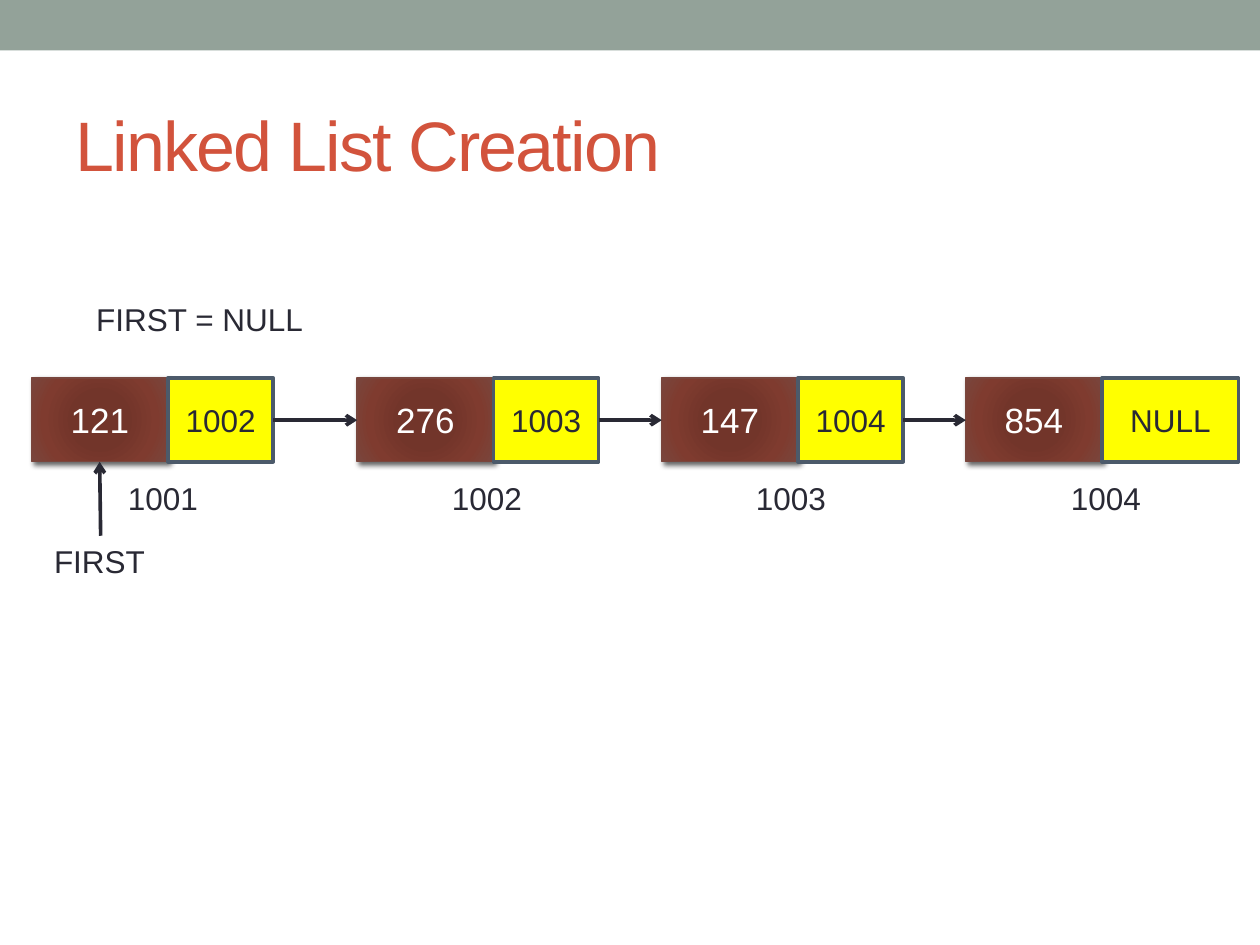
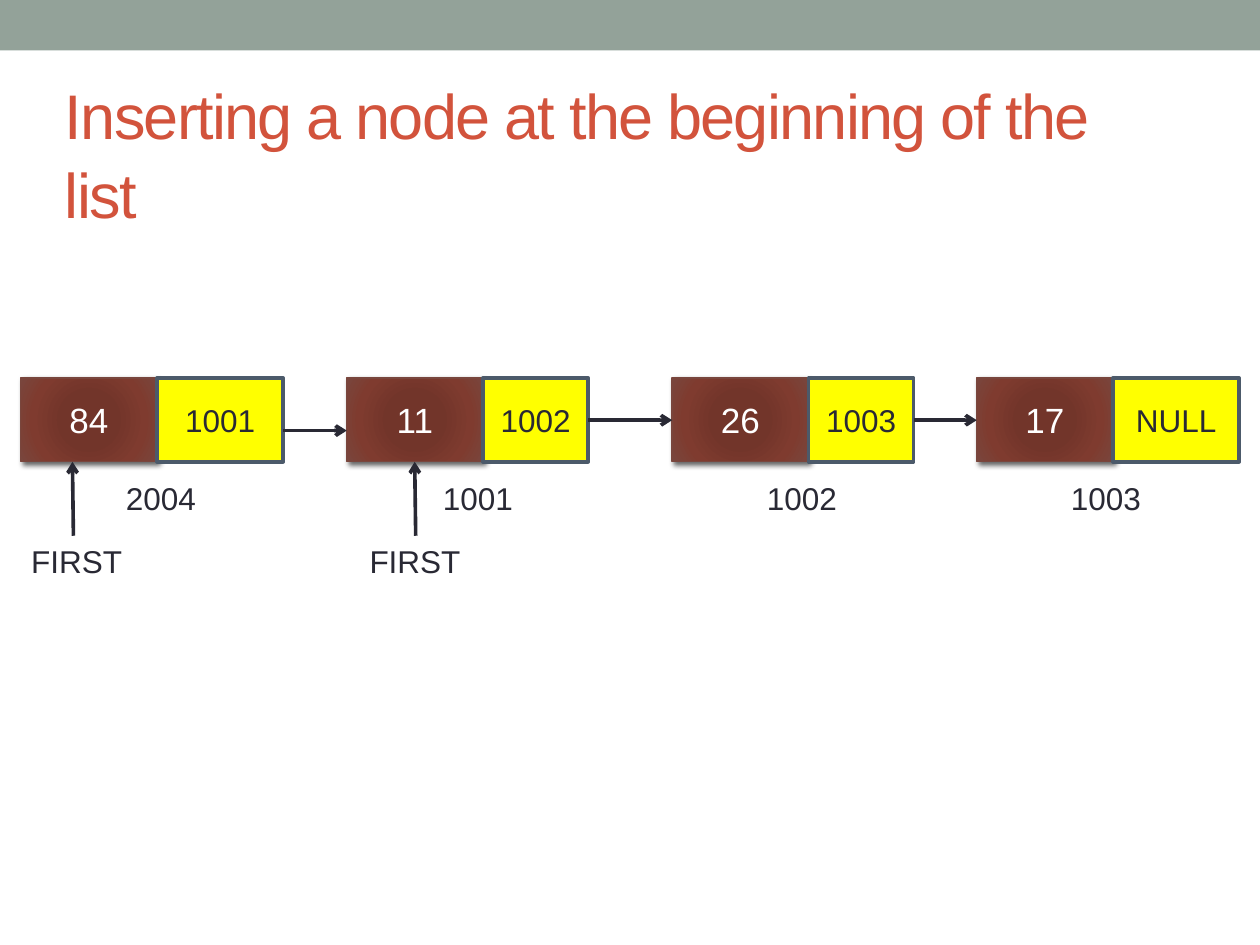
from pptx import Presentation
from pptx.dml.color import RGBColor
from pptx.enum.shapes import MSO_CONNECTOR, MSO_SHAPE
from pptx.enum.text import MSO_ANCHOR, MSO_AUTO_SIZE, PP_ALIGN
from pptx.oxml import parse_xml
from pptx.oxml.ns import nsdecls, qn
from pptx.util import Cm, Pt

RECTANGLE = MSO_SHAPE.RECTANGLE
STRAIGHT = MSO_CONNECTOR.STRAIGHT
MIDDLE = MSO_ANCHOR.MIDDLE
FIT_SHAPE = MSO_AUTO_SIZE.SHAPE_TO_FIT_TEXT
NO_FIT = MSO_AUTO_SIZE.NONE
LEFT, CENTER = PP_ALIGN.LEFT, PP_ALIGN.CENTER

BAND = RGBColor(0x93, 0xA2, 0x99)
TITLE = RGBColor(0xD2, 0x53, 0x3C)
INK = RGBColor(0x29, 0x29, 0x34)
WHITE = RGBColor(0xFF, 0xFF, 0xFF)
YELLOW = RGBColor(0xFF, 0xFF, 0x00)
SLATE = RGBColor(0x4C, 0x5A, 0x6A)
BROWN_EDGE = RGBColor(0x79, 0x46, 0x3D)
BROWN_STOPS = (
    (0, RGBColor(0x74, 0x33, 0x27)),
    (34, RGBColor(0x72, 0x35, 0x2A)),
    (70, RGBColor(0x7F, 0x3B, 0x2F)),
    (100, BROWN_EDGE),
)

FONT = "Arial"
SLIDE_WIDTH, SLIDE_HEIGHT = 25.4, 19.05
NODE_TOP, NODE_HEIGHT, DATA_WIDTH = 7.62, 1.69, 2.75
NODE_BOTTOM = NODE_TOP + NODE_HEIGHT
ADDRESS_TOP, FIRST_TOP = 9.53, 10.8
LINK_Y = 8.47

CREATED_LIST = (
    (0.64, "121", "1002", 2.12, "1001", 2.33),
    (7.2, "276", "1003", 2.12, "1002", 8.86),
    (13.34, "147", "1004", 2.12, "1003", 14.99),
    (19.47, "854", "NULL", 2.75, "1004", 21.34),
)
EXTENDED_LIST = (
    (0.42, "84", "1001", 2.54, "2004", 2.29),
    (6.99, "11", "1002", 2.12, "1001", 8.68),
    (13.55, "26", "1003", 2.12, "1002", 15.21),
    (19.69, "17", "NULL", 2.54, "1003", 21.34),
)


class ListDeck:
    """Draws linked-list diagrams in one shared slide style."""

    def __init__(self):
        self.presentation = Presentation()
        self.presentation.slide_width = Cm(SLIDE_WIDTH)
        self.presentation.slide_height = Cm(SLIDE_HEIGHT)
        self.slide = None

    def set_text(self, frame, text, size, color, align=LEFT):
        paragraph = frame.paragraphs[0]
        paragraph.text = text
        paragraph.alignment = align
        font = paragraph.font
        font.name, font.size, font.color.rgb = FONT, Pt(size), color
        return paragraph

    def new_slide(self, title, left, top, size):
        self.slide = self.presentation.slides.add_slide(
            self.presentation.slide_layouts[6])
        band = self.box(0, 0, SLIDE_WIDTH, 1.02)
        band.fill.solid()
        band.fill.fore_color.rgb = BAND
        band.line.fill.background()
        frame = self.slide.shapes.add_textbox(
            Cm(left), Cm(top), Cm(22.86), Cm(2.75)).text_frame
        frame.word_wrap = True
        frame.auto_size = NO_FIT
        frame.vertical_anchor = MIDDLE
        heading = self.set_text(frame, title, size, TITLE)
        heading.line_spacing = 1.05
        heading._p.pPr.find(qn("a:defRPr")).set("spc", "-100")

    def box(self, left, top, width, height):
        shape = self.slide.shapes.add_shape(
            RECTANGLE, Cm(left), Cm(top), Cm(width), Cm(height))
        shape.shadow.inherit = False
        shape.text_frame.vertical_anchor = MIDDLE
        return shape

    def data_cell(self, left, value):
        cell = self.box(left, NODE_TOP, DATA_WIDTH, NODE_HEIGHT)
        stops = "".join(
            f'<a:gs pos="{position * 1000}"><a:srgbClr val="{color}"/></a:gs>'
            for position, color in BROWN_STOPS)
        cell._element.spPr.insert(2, parse_xml(
            f'<a:gradFill {nsdecls("a")}><a:gsLst>{stops}</a:gsLst>'
            '<a:path path="circle"><a:fillToRect l="100000" t="100000" '
            'r="100000" b="100000"/></a:path></a:gradFill>'))
        cell.line.color.rgb = BROWN_EDGE
        cell.line.width = Pt(0.75)
        cell._element.spPr.find(qn("a:effectLst")).append(parse_xml(
            f'<a:outerShdw {nsdecls("a")} blurRad="{Pt(3)}" dist="{Pt(2)}" '
            'dir="2700000" rotWithShape="0"><a:srgbClr val="000000">'
            '<a:alpha val="60000"/></a:srgbClr></a:outerShdw>'))
        self.set_text(cell.text_frame, value, 20, WHITE, CENTER)

    def pointer_cell(self, left, width, target):
        cell = self.box(left, NODE_TOP, width, NODE_HEIGHT)
        cell.fill.solid()
        cell.fill.fore_color.rgb = YELLOW
        cell.line.color.rgb = SLATE
        cell.line.width = Pt(2.08)
        self.set_text(cell.text_frame, target, 18, INK, CENTER)

    def label(self, text, left, top, width=1.94):
        frame = self.slide.shapes.add_textbox(
            Cm(left), Cm(top), Cm(width), Cm(1.03)).text_frame
        frame.word_wrap = False
        frame.auto_size = FIT_SHAPE
        self.set_text(frame, text, 18, INK)

    def arrow(self, x1, y1, x2, y2):
        arrow = self.slide.shapes.add_connector(
            STRAIGHT, Cm(x1), Cm(y1), Cm(x2), Cm(y2))
        arrow.line.color.rgb = INK
        arrow.line.width = Pt(2.08)
        properties = arrow._element.spPr
        properties.find(qn("a:ln")).append(
            parse_xml(f'<a:tailEnd {nsdecls("a")} type="arrow"/>'))
        properties.append(parse_xml(f'<a:effectLst {nsdecls("a")}/>'))

    def linked_list(self, nodes, first_link_y=LINK_Y):
        for left, value, target, width, address, address_left in nodes:
            self.data_cell(left, value)
            self.pointer_cell(left + DATA_WIDTH, width, target)
            self.label(address, address_left, ADDRESS_TOP)
        for index, (node, following) in enumerate(zip(nodes, nodes[1:])):
            y = LINK_Y if index else first_link_y
            self.arrow(node[0] + DATA_WIDTH + node[3], y, following[0], y)

    def first_marker(self, label_left, arrow_x):
        self.label("FIRST", label_left, FIRST_TOP, 2.35)
        self.arrow(arrow_x, FIRST_TOP, arrow_x - 0.02, NODE_BOTTOM)


def main():
    deck = ListDeck()

    deck.new_slide("Linked List Creation", 1.27, 1.48, 40)
    deck.linked_list(CREATED_LIST)
    deck.first_marker(0.84, 2.03)
    deck.label("FIRST = NULL", 1.69, 5.93, 4.73)

    deck.new_slide(
        "Inserting a node at the beginning of the list", 1.06, 1.69, 36)
    deck.linked_list(EXTENDED_LIST, 8.68)
    deck.first_marker(7.2, 8.38)
    deck.first_marker(0.38, 1.48)

    deck.presentation.save("out.pptx")


if __name__ == "__main__":
    main()
